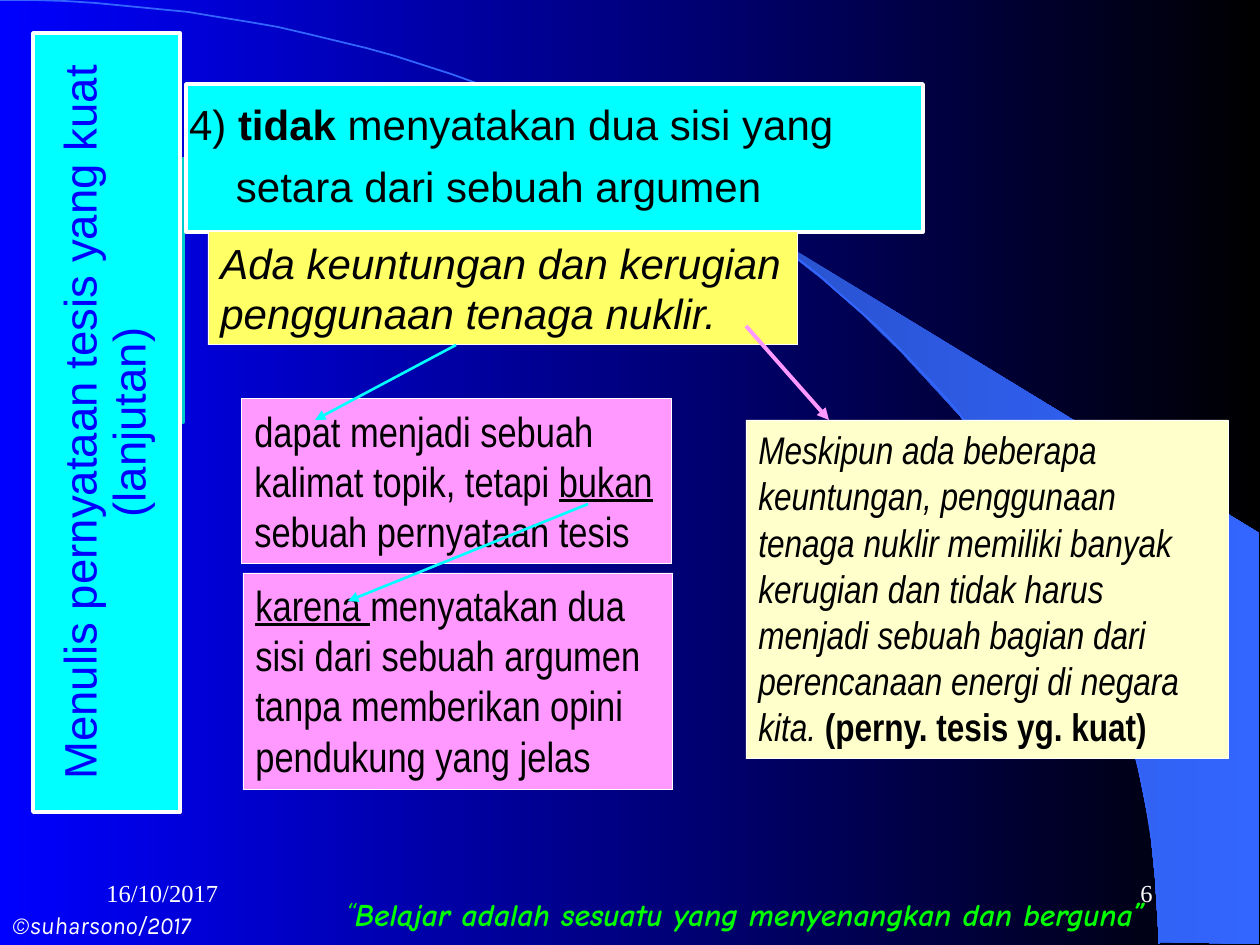
from lxml.etree import SubElement
from pptx import Presentation
from pptx.dml.color import RGBColor
from pptx.enum.shapes import MSO_CONNECTOR, MSO_SHAPE
from pptx.enum.text import MSO_ANCHOR, MSO_AUTO_SIZE, PP_ALIGN
from pptx.oxml.ns import qn
from pptx.util import Emu, Pt

PX = 914400 / 126
rgb = RGBColor.from_string


def px(*lengths):
    return [Emu(round(n * PX)) for n in lengths]


def write(p, runs, font, size, color):
    """Add (text, flags) runs; flags are any of b, i and u."""
    for text, flags in runs:
        r = p.add_run()
        r.text = text
        r.font.name, r.font.size = font, Pt(size)
        r.font.color.rgb = rgb(color)
        r.font.bold = "b" in flags
        r.font.italic = "i" in flags
        r.font.underline = "u" in flags


prs = Presentation()
prs.slide_width, prs.slide_height = px(1260, 945)
s = prs.slides.add_slide(prs.slide_layouts[1])
title, body = s.placeholders

# Blue to black background
bg = s.background.fill
bg.gradient()
bg.gradient_angle = 0
for stop, color, pos in zip(bg.gradient_stops, ("0000FF", "000000"), (0, 1)):
    stop.color.rgb, stop.position = rgb(color), pos

# Wedge at the right edge
wedge_pts = [(1259, 944), (1259, 533), (742, 218), (786, 251), (823, 280), (863, 315),
             (902, 353), (960, 416), (1012, 484), (1048, 543), (1081, 604), (1106, 665),
             (1125, 721), (1138, 767), (1150, 827), (1155, 877), (1159, 942)]
fb = s.shapes.build_freeform(1159, 942, scale=PX)
fb.add_line_segments(wedge_pts, close=True)
wedge = fb.convert_to_shape()
wedge.shadow.inherit = False
wedge.line.fill.background()
wedge.fill.gradient()
wedge.fill.gradient_angle = 0
for stop, color, pos in zip(wedge.fill.gradient_stops, ("2851CC", "3366FF"), (0, 1)):
    stop.color.rgb, stop.position = rgb(color), pos

# Curve across the slide (cubic Bezier) and bracket joining the two cyan boxes
arc_pts = []
for i in range(61):
    t = i / 60
    u = 1 - t
    arc_pts.append((3 * u * u * t * 640 + 3 * u * t * t * 1159 + t ** 3 * 1159,
                    3 * u * t * t * 422 + t ** 3 * 944))
bracket_pts = [(179, 422), (183, 422), (183, 159), (186, 159)]
for pts, color, width in ((arc_pts, "3366FF", 1), (bracket_pts, "00CCCC", 2)):
    fb = s.shapes.build_freeform(*pts[0], scale=PX)
    fb.add_line_segments(pts[1:], close=False)
    sp = fb.convert_to_shape()
    sp.shadow.inherit = False
    sp.fill.background()
    sp.line.color.rgb, sp.line.width = rgb(color), Pt(width)

# Footer texts
footers = [
    ((94, 861, 262, 63), PP_ALIGN.LEFT, [("16/10/2017", "")], "Times New Roman", 14, "FFFFFF"),
    ((903, 861, 262, 63), PP_ALIGN.RIGHT, [("6", "")], "Times New Roman", 14, "FFFFFF"),
    ((0, 904, 252, 42), PP_ALIGN.LEFT, [("©suharsono/2017", "i")], "Karla", 14, "FFFFFF"),
    ((242, 882, 914, 63), PP_ALIGN.RIGHT,
     [("“", "i"), ("Belajar adalah sesuatu yang menyenangkan dan berguna”", "bi")],
     "Comic Neue", 18, "00FF00"),
]
for box, align, runs, font, size, color in footers:
    tf = s.shapes.add_textbox(*px(*box)).text_frame
    tf.word_wrap = True
    tf.vertical_anchor = MSO_ANCHOR.MIDDLE
    tf.paragraphs[0].alignment = align
    write(tf.paragraphs[0], runs, font, size, color)

# Title and body boxes, brought in front of the background shapes
for sp, box in ((title, (-283, 349, 779, 147)), (body, (186, 84, 737, 148))):
    s.shapes._spTree.append(sp._element)
    sp.left, sp.top, sp.width, sp.height = px(*box)
    sp.fill.solid()
    sp.fill.fore_color.rgb = rgb("00FFFF")
    sp.line.color.rgb, sp.line.width = rgb("FFFFFF"), Pt(2)
    tf = sp.text_frame
    tf.word_wrap, tf.auto_size = True, MSO_AUTO_SIZE.NONE
    tf.vertical_anchor = MSO_ANCHOR.MIDDLE
    tf.margin_left, tf.margin_top, tf.margin_right, tf.margin_bottom = px(3, 3, 3, 3)

title.rotation = 270
p = title.text_frame.paragraphs[0]
p.alignment, p.line_spacing = PP_ALIGN.CENTER, 0.9
write(p, [("Menulis pernyataan tesis yang kuat (lanjutan)", "")], "Arial", 26, "0000FF")

point_lines = [
    (0, [("4) ", ""), ("tidak ", "b"), ("menyatakan dua sisi yang", "")]),
    (47, [("setara dari sebuah argumen", "")]),
]
tf = body.text_frame
for i, (indent, runs) in enumerate(point_lines):
    p = tf.add_paragraph() if i else tf.paragraphs[0]
    p.line_spacing, p.space_before, p.space_after = 0.9, Pt(0), Pt(9.5)
    pPr = p._p.get_or_add_pPr()
    pPr.set("marL", str(px(indent)[0]))
    pPr.set("indent", "0")
    SubElement(pPr, qn("a:buNone"))
    write(p, runs, "Arial", 24, "000000")

# Example and comment boxes
notes = [
    ((208, 231, 590, 114), "FFFF66", "Arial", 24,
     [("Ada keuntungan dan kerugian penggunaan tenaga nuklir.", "i")]),
    ((242, 399, 430, 165), "FF99FF", "Arial Narrow", 24,
     [("dapat menjadi sebuah kalimat topik, tetapi ", ""), ("bukan", "u"),
      (" sebuah pernyataan tesis", "")]),
    ((243, 573, 430, 217), "FF99FF", "Arial Narrow", 24,
     [("karena ", "u"),
      ("menyatakan dua sisi dari sebuah argumen tanpa memberikan opini "
       "pendukung yang jelas", "")]),
    ((746, 420, 482, 339), "FFFFCC", "Arial Narrow", 22,
     [("Meskipun ada beberapa keuntungan, penggunaan tenaga nuklir memiliki banyak "
       "kerugian dan tidak harus menjadi sebuah bagian dari perencanaan energi di "
       "negara kita. ", "i"), ("(perny. tesis yg. kuat)", "b")]),
]
for box, fill, font, size, runs in notes:
    sp = s.shapes.add_shape(MSO_SHAPE.RECTANGLE, *px(*box))
    sp.shadow.inherit = False
    sp.fill.solid()
    sp.fill.fore_color.rgb = rgb(fill)
    sp.line.color.rgb, sp.line.width = rgb("FFFFFF"), Pt(0.5)
    tf = sp.text_frame
    tf.word_wrap = True
    tf.vertical_anchor = MSO_ANCHOR.TOP
    tf.paragraphs[0].alignment = PP_ALIGN.LEFT
    write(tf.paragraphs[0], runs, font, size, "000000")

# Arrows
arrows = [((456, 345, 315, 420), "00FFFF", 1.5),
          ((588, 504, 348, 601), "00FFFF", 1.5),
          ((746, 326, 829, 420), "FF99FF", 2.25)]
for ends, color, width in arrows:
    arrow = s.shapes.add_connector(MSO_CONNECTOR.STRAIGHT, *px(*ends))
    arrow.line.color.rgb, arrow.line.width = rgb(color), Pt(width)
    SubElement(arrow.line._get_or_add_ln(), qn("a:tailEnd"), type="triangle")
    SubElement(arrow._element.spPr, qn("a:effectLst"))

prs.save("out.pptx")
